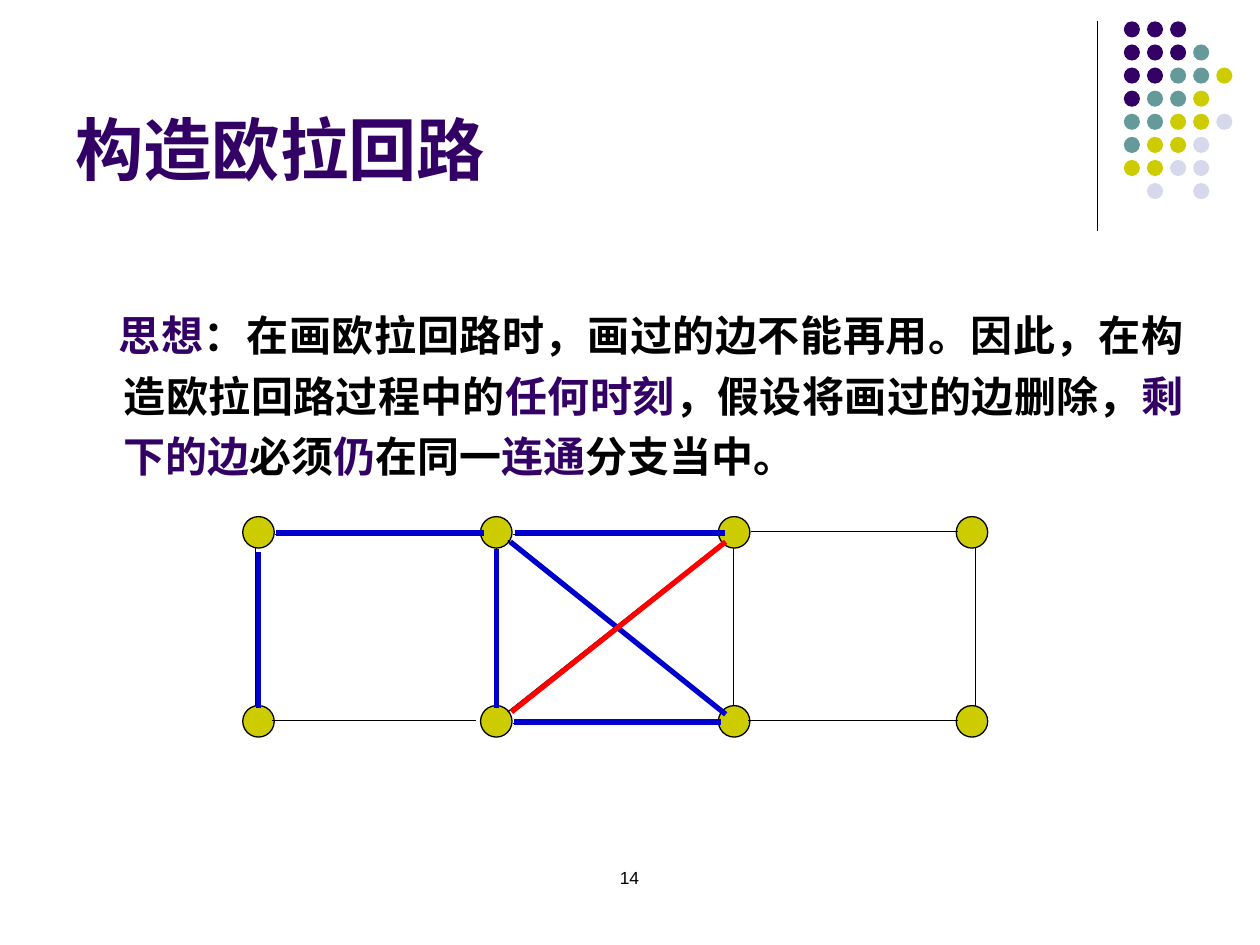
from lxml import etree
from pptx import Presentation
from pptx import util as u
from pptx.dml.color import RGBColor
from pptx.enum import shapes, text
from pptx.oxml import ns

PURPLE, TEAL, OLIVE, LAVENDER = "330066", "669999", "CCCC00", "D8D8EC"
BLACK, BLUE, RED = "000000", "0000CC", "FF0000"


def color(value):
    return RGBColor.from_string(value)


deck = Presentation()
deck.slide_width, deck.slide_height = u.Pt(720), u.Pt(540)
page = deck.slides.add_slide(deck.slide_layouts[6])

# Ellipses: left, top, size, fill, outlined
DOT_ROWS = ["PPP", "PPPT", "PPTTO", "PTTO", "TTOOL", "TOOL", "OOLL", " L L"]
DOT_COLORS = {"P": PURPLE, "T": TEAL, "O": OLIVE, "L": LAVENDER}
ellipses = [
    (642.2 + 13.2 * column, 12.2 + 13.2 * row, 9.2, DOT_COLORS[letter], False)
    for row, letters in enumerate(DOT_ROWS)
    for column, letter in enumerate(letters)
    if letter != " "
]
ellipses += [
    (138.7 + 135.9 * column, 295.2 + 108 * row, 18, OLIVE, True)
    for row in range(2)
    for column in range(4)
]
for left, top, size, fill, outlined in ellipses:
    ellipse = page.shapes.add_shape(
        shapes.MSO_SHAPE.OVAL, u.Pt(left), u.Pt(top), u.Pt(size), u.Pt(size))
    ellipse.shadow.inherit = False
    ellipse.fill.solid()
    ellipse.fill.fore_color.rgb = color(fill)
    if outlined:
        ellipse.line.color.rgb = color(BLACK)
        ellipse.line.width = u.Pt(0.75)
    else:
        ellipse.line.fill.background()

# Lines: x1, y1, x2, y2
divider = (627.1, 12.2, 627.1, 131.8)
graph_edges = [
    (146.2, 313.2, 146.2, 403.2),
    (157, 305.3, 275.8, 305.3),
    (283.7, 313.2, 283.7, 403.9),
    (155.5, 411.8, 272.2, 411.8),
    (290.2, 406.8, 413.3, 309.6),
    (419, 313.2, 419, 403.2),
    (293, 413.3, 411.1, 413.3),
    (429.1, 303.8, 547.2, 303.8),
    (557.3, 313.2, 557.3, 403.2),
    (427.7, 411.8, 547.2, 411.8),
    (290.2, 308.9, 414, 407.5),
    (293, 305.3, 411.8, 305.3),
]
drawn_edges = [
    (147.6, 315.4, 147.6, 404.6),
    (157.7, 304.6, 276.5, 304.6),
    (291.6, 309.6, 414.7, 408.2),
    (293.8, 412.6, 411.8, 412.6),
    (283.7, 313.9, 283.7, 404.6),
    (294.5, 304.6, 414, 304.6),
]
next_edge = (292.3, 406.8, 414.7, 309.6)
line_groups = [
    ([divider] + graph_edges, BLACK, 0.75),
    (drawn_edges, BLUE, 3),
    ([next_edge], RED, 3),
]
for lines, stroke, width in line_groups:
    for ends in lines:
        line = page.shapes.add_connector(
            shapes.MSO_CONNECTOR.STRAIGHT, *[u.Pt(value) for value in ends])
        line.line.color.rgb = color(stroke)
        line.line.width = u.Pt(width)
        etree.SubElement(line._element.spPr, ns.qn("a:effectLst"))


def add_text(left, top, width, height, spans, size, bold, align):
    """Add a one-paragraph box; spans are (text, colour) pairs."""
    box = page.shapes.add_textbox(u.Pt(left), u.Pt(top), u.Pt(width), u.Pt(height))
    box.text_frame.word_wrap = True
    para = box.text_frame.paragraphs[0]
    para.alignment = align
    para.font.name, para.font.size, para.font.bold = "Arial", u.Pt(size), bold
    for words, ink in spans:
        span = para.add_run()
        span.text = words
        span.font.color.rgb = color(ink)
    return box


title = add_text(36, 9.4, 594, 102.2, [("构造欧拉回路", PURPLE)], 39, True,
                 text.PP_ALIGN.LEFT)
title.text_frame.vertical_anchor = text.MSO_ANCHOR.BOTTOM

idea = add_text(36.7, 167.8, 646.6, 107.3, [
    ("思想", PURPLE),
    ("：在画欧拉回路时，画过的边不能再用。因此，在构造欧拉回路过程中的", BLACK),
    ("任何时刻", PURPLE),
    ("，假设将画过的边删除，", BLACK),
    ("剩下的边", PURPLE),
    ("必须", BLACK),
    ("仍", PURPLE),
    ("在同一", BLACK),
    ("连通", PURPLE),
    ("分支当中。", BLACK),
], 24, True, text.PP_ALIGN.JUSTIFY)
idea_para = idea.text_frame.paragraphs[0]
idea_para.line_spacing = 1.2
indents = idea_para._p.get_or_add_pPr()
indents.set("marL", str(u.Pt(27)))
indents.set("indent", str(u.Pt(-3)))

add_text(275.8, 491.8, 167.8, 36, [("14", BLACK)], 10, False,
         text.PP_ALIGN.CENTER)

deck.save("out.pptx")
